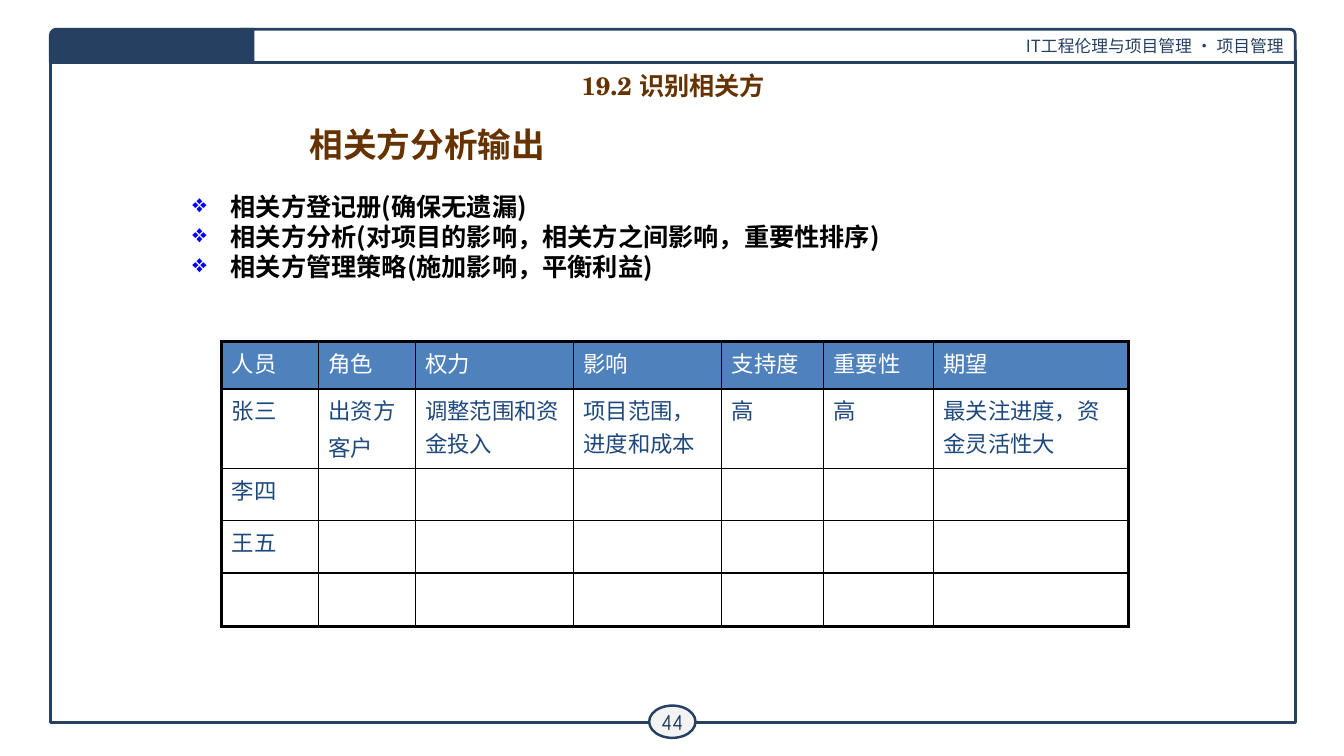
import pptx
import pptx.util
import pptx.oxml
import pptx.oxml.ns
import pptx.dml.color
import pptx.enum.shapes
import pptx.enum.text

Pt = pptx.util.Pt
RGB = pptx.dml.color.RGBColor.from_string
Align = pptx.enum.text.PP_ALIGN
Anchor = pptx.enum.text.MSO_ANCHOR
Kind = pptx.enum.shapes.MSO_SHAPE
NS = pptx.oxml.ns.nsdecls("a")


class Theme:
    navy, white, pale, black = "254061", "FFFFFF", "F3F3F3", "000000"
    brown, blue, head, cell = "663300", "0000FF", "4F81BD", "1F497D"
    sans, serif, comic = "Noto Sans CJK SC", "TeX Gyre Schola", "Comic Neue"
    title, topic, body, note = 24, 18, 16, 12


# Grid: each unit is a tenth of an inch
UNIT = pptx.util.Inches(0.1)


def place(*units):
    return [round(n * UNIT) for n in units]


def style(par, size, color, face, bold=False, align=Align.LEFT):
    par.alignment = align
    font = par.font
    font.size, font.bold, font.name = Pt(size), bold, face
    font.color.rgb = RGB(color)
    font._element.append(pptx.oxml.parse_xml(
        f'<a:ea {NS} typeface="{Theme.sans}"/>'))


deck = pptx.Presentation()
deck.slide_width, deck.slide_height = place(133.33, 75)
slide = deck.slides.add_slide(deck.slide_layouts[5])
shapes = slide.shapes

# Frame, header bar, page badge and corner tab
parts = {}
for name, kind, area, fill, width in [
    ("frame", Kind.RECTANGLE, (5, 5, 123.5, 66.7), None, 2),
    ("header", Kind.ROUND_1_RECTANGLE, (23.8, 2.9, 104.7, 3.3), Theme.white, 2),
    ("badge", Kind.OVAL, (64.4, 70, 4.6, 3.2), Theme.pale, 1.75),
    ("tab", Kind.ROUND_1_RECTANGLE, (5, 2.9, 20.1, 3.3), Theme.navy, 2),
]:
    part = shapes.add_shape(kind, *place(*area))
    part.shadow.inherit = False
    part.line.color.rgb, part.line.width = RGB(Theme.navy), Pt(width)
    if fill:
        part.fill.solid()
        part.fill.fore_color.rgb = RGB(fill)
    else:
        part.fill.background()
    parts[name] = part
parts["tab"].adjustments[0] = 0.175
parts["tab"].element.spPr.get_or_add_xfrm().set("flipH", "1")

for name, text, size, face, align in [
    ("header", "IT工程伦理与项目管理 · 项目管理", Theme.note, Theme.sans, Align.RIGHT),
    ("badge", "44", Theme.body, Theme.comic, Align.CENTER),
]:
    frame = parts[name].text_frame
    frame.text = text
    frame.vertical_anchor = Anchor.MIDDLE
    style(frame.paragraphs[0], size, Theme.navy, face, align=align)
badge = parts["badge"].text_frame
badge.word_wrap = False
badge.margin_left, badge.margin_right, badge.margin_top, badge.margin_bottom = place(*[0.4] * 4)

# Title and section heading
title = shapes.title
title.left, title.top, title.width, title.height = place(18.1, 11.8, 48.6, 3.9)
topic = shapes.add_textbox(*place(21.8, 6.5, 90, 3.9))
for box, text, size in [(title, "相关方分析输出", Theme.title),
                        (topic, "19.2 识别相关方", Theme.topic)]:
    frame = box.text_frame
    frame.text = text
    frame.word_wrap = True
    frame.auto_size = pptx.enum.text.MSO_AUTO_SIZE.NONE
    frame.vertical_anchor = Anchor.TOP
    style(frame.paragraphs[0], size, Theme.brown, Theme.serif, True, Align.CENTER)

# Stakeholder table
rows = [
    ["人员", "角色", "权力", "影响", "支持度", "重要性", "期望"],
    ["张三", "出资方\n客户", "调整范围和资金投入", "项目范围，进度和成本",
     "高", "高", "最关注进度，资金灵活性大"],
    ["李四"], ["王五"], [],
]
wide = place(9.6, 9.6, 15.7, 14.7, 10.1, 10.9, 19.4)
tall = place(4.7, 6.9, 5.2, 5.2, 5.3)
grid = shapes.add_table(len(tall), len(wide), *place(22, 33.9, 90, 27.3)).table
grid.first_row = grid.horz_banding = False
for c, size in enumerate(wide):
    grid.columns[c].width = size
for r, size in enumerate(tall):
    grid.rows[r].height = size
    for c in range(len(wide)):
        cell = grid.cell(r, c)
        # Thick lines on the outer edges, thin lines inside
        outer = {"L": c == 0, "R": c == len(wide) - 1,
                 "T": r == 0, "B": r == len(tall) - 1}
        props = cell._tc.get_or_add_tcPr()
        for side, edge in outer.items():
            props.append(pptx.oxml.parse_xml(
                f'<a:ln{side} {NS} w="{Pt(2.25 if edge else 1)}"><a:solidFill>'
                f'<a:srgbClr val="{Theme.black}"/></a:solidFill></a:ln{side}>'))
        if r == 0:
            cell.fill.solid()
            cell.fill.fore_color.rgb = RGB(Theme.head)
        else:
            cell.fill.background()
        if c < len(rows[r]):
            cell.text = rows[r][c]
            for n, par in enumerate(cell.text_frame.paragraphs):
                par.space_before = Pt(3.2 if n else 0)
                style(par, Theme.body, Theme.cell if r else Theme.white, Theme.sans)

# Bullet list
frame = shapes.add_textbox(*place(18.1, 18.8, 76.4, 14.1)).text_frame
frame.word_wrap = True
frame.text = "\n".join([
    "相关方登记册(确保无遗漏)",
    "相关方分析(对项目的影响，相关方之间影响，重要性排序)",
    "相关方管理策略(施加影响，平衡利益)",
])
hang = place(3.8)[0]
for n, par in enumerate(frame.paragraphs):
    props = par._p.get_or_add_pPr()
    props.set("marL", str(hang))
    props.set("indent", str(-hang))
    for mark in (f'<a:buClr {NS}><a:srgbClr val="{Theme.blue}"/></a:buClr>',
                 f'<a:buChar {NS} char="❖"/>'):
        props.append(pptx.oxml.parse_xml(mark))
    par.line_spacing = 0.9
    par.space_before = Pt(2 if n else 0)
    style(par, Theme.topic, Theme.black, Theme.sans, True)

deck.save("out.pptx")
